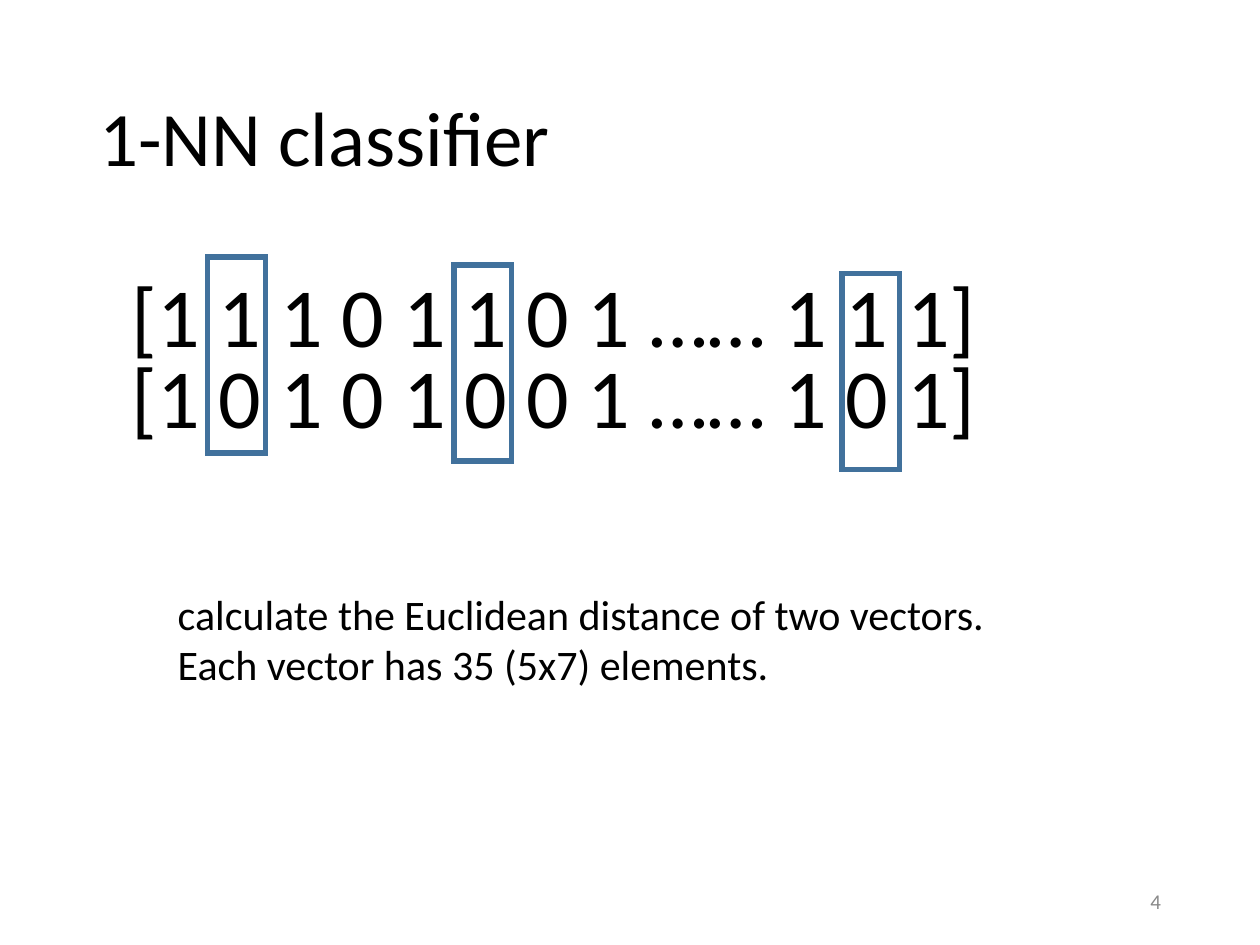
from lxml import etree
from pptx import Presentation
from pptx.dml.color import RGBColor
from pptx.enum.shapes import MSO_SHAPE
from pptx.enum.text import MSO_ANCHOR, MSO_AUTO_SIZE, PP_ALIGN
from pptx.oxml.ns import qn
from pptx.util import Pt

BLACK = RGBColor(0x00, 0x00, 0x00)
GRAY = RGBColor(0x89, 0x89, 0x89)
BLUE = RGBColor(0x41, 0x71, 0x9C)
FONT = "Calibri"


def set_font(p, size, color=BLACK):
    p.font.name = FONT
    p.font.size = Pt(size)
    p.font.color.rgb = color


def add_text(s, left, top, width, height, lines, size, color=BLACK):
    tf = s.shapes.add_textbox(Pt(left), Pt(top), Pt(width), Pt(height)).text_frame
    tf.word_wrap = True
    tf.auto_size = MSO_AUTO_SIZE.NONE
    tf.text = "\n".join(lines)
    for p in tf.paragraphs:
        set_font(p, size, color)
    return tf


prs = Presentation()
prs.slide_width, prs.slide_height = Pt(720), Pt(540)
s = prs.slides.add_slide(prs.slide_layouts[5])

# Title
title = s.shapes.title
title.left, title.top, title.width, title.height = Pt(49.5), Pt(28.8), Pt(621), Pt(104.4)
tf = title.text_frame
tf.text = "1-NN classifier"
tf.vertical_anchor = MSO_ANCHOR.MIDDLE
p = tf.paragraphs[0]
p.alignment = PP_ALIGN.LEFT
p.line_spacing = 0.9
set_font(p, 44)

# Slide number
tf = add_text(s, 508.5, 500.5, 162, 28.75, ["4"], 12, GRAY)
tf.vertical_anchor = MSO_ANCHOR.MIDDLE
tf.paragraphs[0].alignment = PP_ALIGN.RIGHT

# The two vectors, with a little room to spare on the right
vectors = ["[1 1 1 0 1 1 0 1 …… 1 1 1]", "[1 0 1 0 1 0 0 1 …… 1 0 1]"]
for i, vector in enumerate(vectors):
    add_text(s, 68.2, 146.9 + 46.6 * i, 504, 65, [vector], 48)

# Frames around the differing elements, with sharp corners
for left, top in [(118.8, 146.9), (259.4, 151.4), (481.2, 156.4)]:
    frame = s.shapes.add_shape(MSO_SHAPE.RECTANGLE, Pt(left), Pt(top), Pt(33), Pt(112))
    frame.shadow.inherit = False
    frame.fill.background()
    frame.line.color.rgb = BLUE
    frame.line.width = Pt(3)
    ln = frame.line._get_or_add_ln()
    etree.SubElement(ln, qn("a:miter")).set("lim", "800000")

# Explanation
add_text(s, 94.5, 332.6, 484, 65, [
    "calculate the Euclidean distance of two vectors.",
    "Each vector has 35 (5x7) elements.",
], 24)

prs.save("out.pptx")
